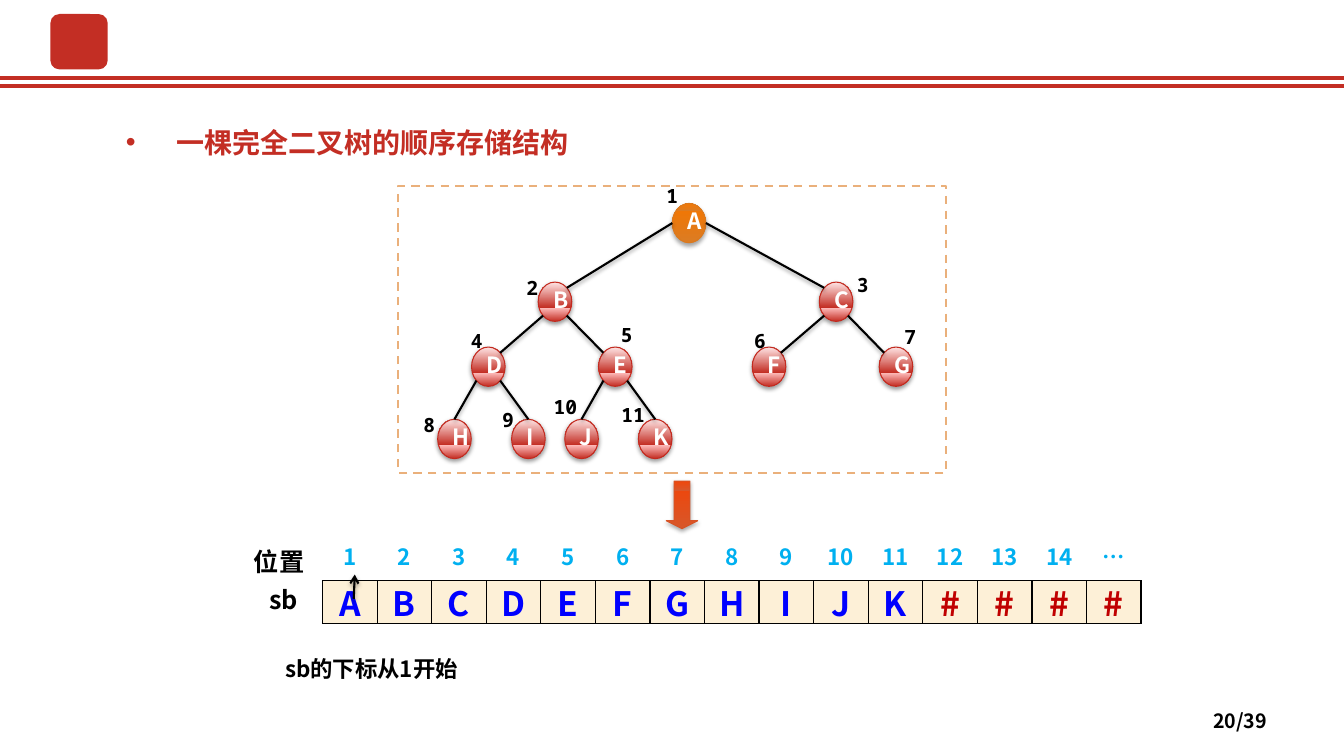
from dataclasses import dataclass

from lxml import etree
from pptx import Presentation
from pptx.dml.color import RGBColor
from pptx.enum.dml import MSO_LINE
from pptx.enum.shapes import MSO_CONNECTOR, MSO_SHAPE
from pptx.enum.text import MSO_ANCHOR, MSO_AUTO_SIZE, PP_ALIGN
from pptx.oxml.ns import qn
from pptx.util import Pt

DASH = MSO_LINE.DASH
LINE = MSO_CONNECTOR.STRAIGHT
OVAL, RECT, ROUND, DOWN = (MSO_SHAPE.OVAL, MSO_SHAPE.RECTANGLE,
                           MSO_SHAPE.ROUNDED_RECTANGLE, MSO_SHAPE.DOWN_ARROW)
TOP, MIDDLE = MSO_ANCHOR.TOP, MSO_ANCHOR.MIDDLE
GROW = MSO_AUTO_SIZE.SHAPE_TO_FIT_TEXT
LEFT, CENTER, RIGHT = PP_ALIGN.LEFT, PP_ALIGN.CENTER, PP_ALIGN.RIGHT

SANS, MONO = "Noto Sans CJK SC", "Noto Sans Mono"
BLACK = RGBColor(0x00, 0x00, 0x00)
WHITE = RGBColor(0xFF, 0xFF, 0xFF)
RED = RGBColor(0xC3, 0x2E, 0x24)
RIM = RGBColor(0xC3, 0x2A, 0x1F)
PINK = RGBColor(0xFF, 0xBE, 0xBD)
PALE = RGBColor(0xFF, 0xE6, 0xE6)
AMBER = RGBColor(0xDB, 0x7C, 0x23)
AMBER_RIM = RGBColor(0xDB, 0x79, 0x1E)
AMBER_MID = RGBColor(0xEF, 0x77, 0x07)
AMBER_TOP = RGBColor(0xF5, 0x78, 0x03)
RUST = RGBColor(0xD8, 0x57, 0x2A)
RUST_RIM = RGBColor(0xD7, 0x53, 0x25)
RUST_MID = RGBColor(0xEB, 0x48, 0x0F)
RUST_TOP = RGBColor(0xF0, 0x46, 0x0B)
SAND = RGBColor(0xEA, 0xB0, 0x7B)
CREAM = RGBColor(0xFD, 0xF0, 0xD7)
SKY = RGBColor(0x00, 0xB0, 0xF0)
BLUE = RGBColor(0x00, 0x00, 0xFF)
DARK_RED = RGBColor(0xC0, 0x00, 0x00)

NODE_W, NODE_H = 24, 28.1
DIAG = 0.3536  # share of the width from centre to a diagonal point


@dataclass
class Node:
    name: str
    x: float
    y: float
    tag_x: float
    tag_y: float

    def spot(self, across: float, down: float) -> tuple[float, float]:
        return (self.x + NODE_W * (0.5 + across), self.y + NODE_H * (0.5 + down))


@dataclass
class Gloss:
    stops: list[tuple[int, RGBColor]]
    rim: RGBColor


@dataclass
class Style:
    size: float
    color: RGBColor = BLACK
    font: str = SANS
    align: PP_ALIGN = CENTER
    tight: bool = True


# Nodes in level order: the children of node i are 2i and 2i + 1
NODES = [
    Node("A", 480.2, 145.3, 465.8, 134.6),
    Node("B", 384.4, 201.5, 365.8, 200.2), Node("C", 585.2, 201.5, 601.9, 198),
    Node("D", 336.8, 247.9, 326.2, 238.3), Node("E", 427.5, 247.9, 433.4, 234),
    Node("F", 537.3, 247.9, 528.5, 238.3), Node("G", 628, 247.9, 635.8, 235.4),
    Node("H", 312.6, 299.5, 292.3, 298.1), Node("I", 365.4, 299.5, 348.5, 294.5),
    Node("J", 403.4, 299.5, 389.5, 285.1), Node("K", 456, 299.5, 437.8, 290.9),
]
RED_GLOSS = Gloss([(0, RED), (35, PINK), (35, RED), (100, PALE)], RIM)
AMBER_GLOSS = Gloss([(0, AMBER), (80, AMBER_MID), (80, AMBER), (100, AMBER_TOP)], AMBER_RIM)
RUST_GLOSS = Gloss([(0, RUST), (80, RUST_MID), (80, RUST), (100, RUST_TOP)], RUST_RIM)


def add(parent, tag: str, **attrs):
    return etree.SubElement(parent, qn(tag), {k: str(v) for k, v in attrs.items()})


def write(para, text: str, style: Style) -> None:
    para.alignment = style.align
    if style.tight:
        para.line_spacing = 0.8
        gap = add(para._p.get_or_add_pPr(), "a:spcBef")
        add(gap, "a:spcPct", val=50000)
    run = para.add_run()
    run.text = text
    font = run.font
    font.size, font.bold, font.name = Pt(style.size), True, style.font
    font.color.rgb = style.color
    add(run._r.get_or_add_rPr(), "a:ea", typeface=style.font)


def pad(frame, left: float, top: float, right: float, base: float) -> None:
    frame.margin_left, frame.margin_top = Pt(left), Pt(top)
    frame.margin_right, frame.margin_bottom = Pt(right), Pt(base)


def label(slide, text: str, x: float, y: float, w: float, h: float, style: Style):
    frame = slide.shapes.add_textbox(Pt(x), Pt(y), Pt(w), Pt(h)).text_frame
    frame.word_wrap, frame.auto_size = True, GROW
    write(frame.paragraphs[0], text, style)
    return frame


def shade(shape, alpha: int, dist: float) -> None:
    props = shape._element.spPr
    effects = props.find(qn("a:effectLst"))
    if effects is None:
        effects = add(props, "a:effectLst")
    outer = add(effects, "a:outerShdw", blurRad=Pt(3.1), dist=Pt(dist),
                dir=5400000, rotWithShape=0)
    add(add(outer, "a:srgbClr", val="000000"), "a:alpha", val=alpha * 1000)


def glossy(slide, kind, x: float, y: float, w: float, h: float, gloss: Gloss):
    shape = slide.shapes.add_shape(kind, Pt(x), Pt(y), Pt(w), Pt(h))
    shape.fill.gradient()
    shape.fill.gradient_angle = 90
    stops = shape._element.spPr.find(qn("a:gradFill")).find(qn("a:gsLst"))
    stops.clear()
    for place, color in gloss.stops:
        add(add(stops, "a:gs", pos=place * 1000), "a:srgbClr", val=color)
    shape.line.color.rgb, shape.line.width = gloss.rim, Pt(0.75)
    shape.shadow.inherit = False
    shade(shape, 38 if gloss is RED_GLOSS else 35, 1.6 if gloss is RED_GLOSS else 1.8)
    return shape


def link(slide, start: tuple[float, float], end: tuple[float, float],
         color: RGBColor = BLACK, width: float = 1.5, shadow: bool = True):
    line = slide.shapes.add_connector(LINE, *(Pt(v) for v in start + end))
    line.line.color.rgb, line.line.width = color, Pt(width)
    if shadow:
        shade(line, 38, 1.6)
    else:
        add(line._element.spPr, "a:effectLst")
    return line


def frame_cell(cell, sides: str) -> None:
    props = cell._tc.get_or_add_tcPr()
    for place, side in enumerate(sides):
        edge = etree.Element(qn("a:ln" + side), {"w": str(Pt(1))})
        add(add(edge, "a:solidFill"), "a:srgbClr", val=BLACK)
        props.insert(place, edge)


def header(slide) -> None:
    for y in (55.6, 61.2):
        link(slide, (0, y), (960, y), RED, 3, False)
    badge = slide.shapes.add_shape(ROUND, Pt(36), Pt(10), Pt(41), Pt(39.6))
    badge.fill.solid()
    badge.fill.fore_color.rgb = RED
    badge.line.fill.background()
    badge.shadow.inherit = False


def heading(slide) -> None:
    title = slide.shapes.title
    title.left, title.top, title.width, title.height = Pt(75.6), Pt(74.9), Pt(371.5), Pt(47.5)
    title.fill.solid()
    title.fill.fore_color.rgb = WHITE
    frame = title.text_frame
    frame.word_wrap, frame.auto_size, frame.vertical_anchor = True, GROW, TOP
    pad(frame, 14.4, 8.6, 7.2, 8.6)
    para = frame.paragraphs[0]
    para.line_spacing, para.space_before = Pt(30), Pt(12)
    write(para, "一棵完全二叉树的顺序存储结构", Style(20, RED, align=LEFT, tight=False))
    props = para._p.get_or_add_pPr()
    props.set("marL", str(Pt(36)))
    props.set("indent", str(Pt(-36)))
    add(props, "a:buFont", typeface="Arial")
    add(props, "a:buChar", char="•")


def array(slide) -> None:
    letters = [node.name for node in NODES] + ["#"] * 4
    places = [str(i) for i in range(1, len(letters))] + ["…"]
    table = slide.shapes.add_table(2, len(letters), Pt(230.4), Pt(385.6),
                                   Pt(39 * len(letters)), Pt(58.4)).table
    table.first_row = table.horz_banding = False
    for col, (place, letter) in enumerate(zip(places, letters)):
        table.columns[col].width = Pt(39)
        ink = DARK_RED if letter == "#" else BLUE
        rows = [(place, Style(16, SKY), WHITE, "B"), (letter, Style(24, ink), CREAM, "LRTB")]
        for row, (text, style, back, sides) in enumerate(rows):
            cell = table.cell(row, col)
            cell.fill.solid()
            cell.fill.fore_color.rgb = back
            write(cell.text_frame.paragraphs[0], text, style)
            frame_cell(cell, sides)
    # Row names, note and pointer
    pad(label(slide, "位置", 174.2, 394.6, 50.4, 20.9, Style(18)), 0, 0, 0, 3.6)
    label(slide, "sb", 180, 418.3, 45.4, 24.5, Style(18))
    label(slide, "sb的下标从1开始", 196.6, 464.4, 157.7, 26.6, Style(16, align=LEFT, tight=False))
    arrow = link(slide, (252.7, 427.7), (253.4, 410.4))
    add(arrow.line._get_or_add_ln(), "a:tailEnd", type="arrow")


def tree(slide) -> None:
    for i, node in enumerate(NODES, 1):
        gloss = AMBER_GLOSS if i == 1 else RED_GLOSS
        ball = glossy(slide, OVAL, node.x, node.y, NODE_W, NODE_H, gloss)
        ball.text_frame.word_wrap, ball.text_frame.vertical_anchor = True, MIDDLE
        write(ball.text_frame.paragraphs[0], node.name, Style(16, WHITE))
    for i, child in enumerate(NODES[1:], 2):
        side = 1 if i % 2 else -1
        start = (side * 0.5, 0) if i < 4 else (side * DIAG, DIAG)
        end = (-side * DIAG, -DIAG) if i < 8 else (0, -0.5)
        link(slide, NODES[i // 2 - 1].spot(*start), child.spot(*end))
    for i, node in enumerate(NODES, 1):
        pad(label(slide, str(i), node.tag_x, node.tag_y, 28.8, 13.7, Style(14, font=MONO)), 0, 0, 0, 0)
    border = slide.shapes.add_shape(RECT, Pt(284.4), Pt(132.7), Pt(391.3), Pt(205.2))
    border.fill.background()
    border.line.color.rgb, border.line.width = SAND, Pt(1.5)
    border.line.dash_style = DASH
    border.shadow.inherit = False


def main() -> None:
    deck = Presentation()
    deck.slide_width, deck.slide_height = Pt(960), Pt(540)
    slide = deck.slides.add_slide(deck.slide_layouts[5])
    header(slide)
    heading(slide)
    arrow = glossy(slide, DOWN, 475.9, 343.6, 22.5, 34, RUST_GLOSS)
    arrow.adjustments[0], arrow.adjustments[1] = 0.5, 0.25
    array(slide)
    page = label(slide, "20/39", 688.3, 500.4, 223.9, 28.8, Style(14, align=RIGHT, tight=False))
    page.vertical_anchor = MIDDLE
    tree(slide)
    deck.save("out.pptx")


if __name__ == "__main__":
    main()
